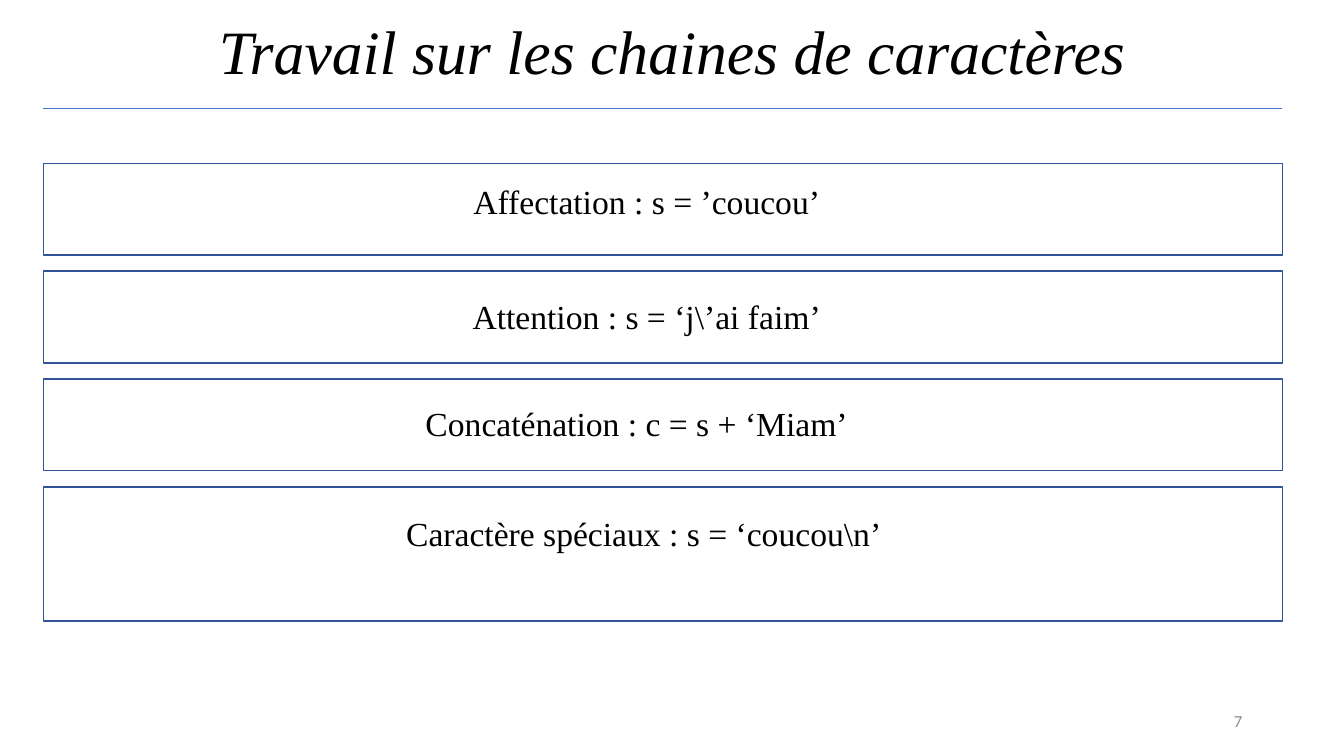
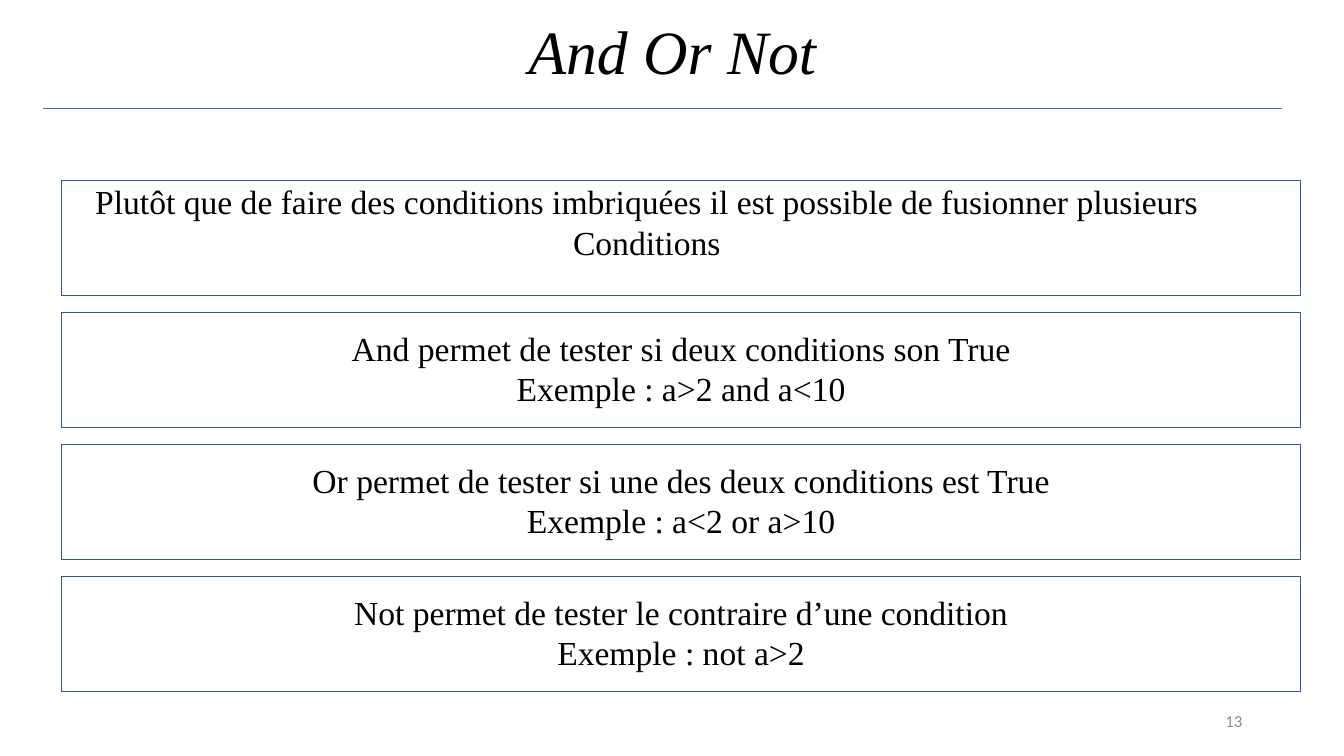
from lxml.etree import SubElement
from pptx import Presentation
from pptx.dml.color import RGBColor
from pptx.enum.shapes import MSO_CONNECTOR, MSO_SHAPE
from pptx.enum.text import MSO_ANCHOR, PP_ALIGN
from pptx.oxml.ns import qn
from pptx.util import Pt

PX = 9144
BLACK = RGBColor(0x00, 0x00, 0x00)
GREY = RGBColor(0x8C, 0x8C, 0x8C)
BLUE = RGBColor(0x44, 0x72, 0xC4)
DARK_BLUE = RGBColor(0x2F, 0x55, 0x97)
SERIF = "Times New Roman"
SANS = "Calibri"
FRAME_WIDTH = 1229
TEXT_WIDTH = 1161

STRING_ROWS = [
    (61, 13, 91, ["Affectation : s = ’coucou’"]),
    (61, 20, 91, ["Attention : s = ‘j\\’ai faim’"]),
    (51, 19, 91, ["Concaténation : c = s + ‘Miam’"]),
    (61, 21, 133, ["Caractère spéciaux : s = ‘coucou\\n’ "]),
]
LOGIC_ROWS = [
    (61, -4, 114, ["Plutôt que de faire des conditions imbriquées il est possible de "
                   "fusionner plusieurs Conditions"]),
    (95, 10, 114, ["And permet de tester si deux conditions son True",
                   "Exemple : a>2 and a<10"]),
    (95, 10, 114, ["Or permet de tester si une des deux conditions est True",
                   "Exemple : a<2 or a>10"]),
    (95, 10, 114, ["Not permet de tester le contraire d’une condition",
                   "Exemple : not a>2"]),
]


def scaled(*lengths):
    """Turn px lengths into EMU."""
    return [length * PX for length in lengths]


def add_text(page, place, lines, size, font=SERIF, color=BLACK, italic=False,
             align=PP_ALIGN.CENTER, anchor=MSO_ANCHOR.TOP, spacing=1.0):
    """Add a wrapped text box with one paragraph per line."""
    frame = page.shapes.add_textbox(*scaled(*place)).text_frame
    frame.word_wrap = True
    frame.vertical_anchor = anchor
    for index, line in enumerate(lines):
        para = frame.add_paragraph() if index else frame.paragraphs[0]
        para.alignment = align
        para.line_spacing = spacing
        span = para.add_run()
        span.text = line
        span.font.size = Pt(size)
        span.font.name = font
        span.font.italic = italic
        span.font.color.rgb = color


def add_rule(page):
    """Draw the thin line under the title."""
    rule = page.shapes.add_connector(
        MSO_CONNECTOR.STRAIGHT, *scaled(43, 108, 43 + FRAME_WIDTH, 108))
    rule.line.color.rgb = BLUE
    rule.line.width = Pt(0.5)
    SubElement(rule._element.spPr, qn("a:effectLst"))


def add_frame(page, left, top, height):
    """Draw an unfilled outlined rectangle."""
    box = page.shapes.add_shape(
        MSO_SHAPE.RECTANGLE, *scaled(left, top, FRAME_WIDTH, height))
    box.shadow.inherit = False
    box.fill.background()
    box.line.color.rgb = DARK_BLUE
    box.line.width = Pt(1)


def add_rows(page, left, top, pitch, rows):
    """Stack framed texts at an equal pitch."""
    for index, (text_left, offset, height, lines) in enumerate(rows):
        row_top = top + index * pitch
        add_frame(page, left, row_top, height)
        text_height = 50 if height < 114 or len(rows[1][3]) == 1 else 91
        add_text(page, (text_left, row_top + offset, TEXT_WIDTH, text_height),
                 lines, 24)


def add_page(deck, title, number):
    """Add a blank slide with its title, rule and page number."""
    page = deck.slides.add_slide(deck.slide_layouts[6])
    add_text(page, (92, -18, 1150, 145), [title], 44, italic=True,
             anchor=MSO_ANCHOR.MIDDLE, spacing=0.9)
    add_text(page, (942, 695, 300, 40), [number], 12, SANS, GREY,
             align=PP_ALIGN.RIGHT, anchor=MSO_ANCHOR.MIDDLE)
    add_rule(page)
    return page


def main():
    """Build and save the deck."""
    deck = Presentation()
    deck.slide_width, deck.slide_height = scaled(1333, 750)
    strings = add_page(deck, "Travail sur les chaines de caractères", "7")
    add_rows(strings, 43, 162, 107, STRING_ROWS)
    logic = add_page(deck, "And Or Not", "13")
    add_rows(logic, 61, 179, 131, LOGIC_ROWS)
    deck.save("out.pptx")


if __name__ == "__main__":
    main()
